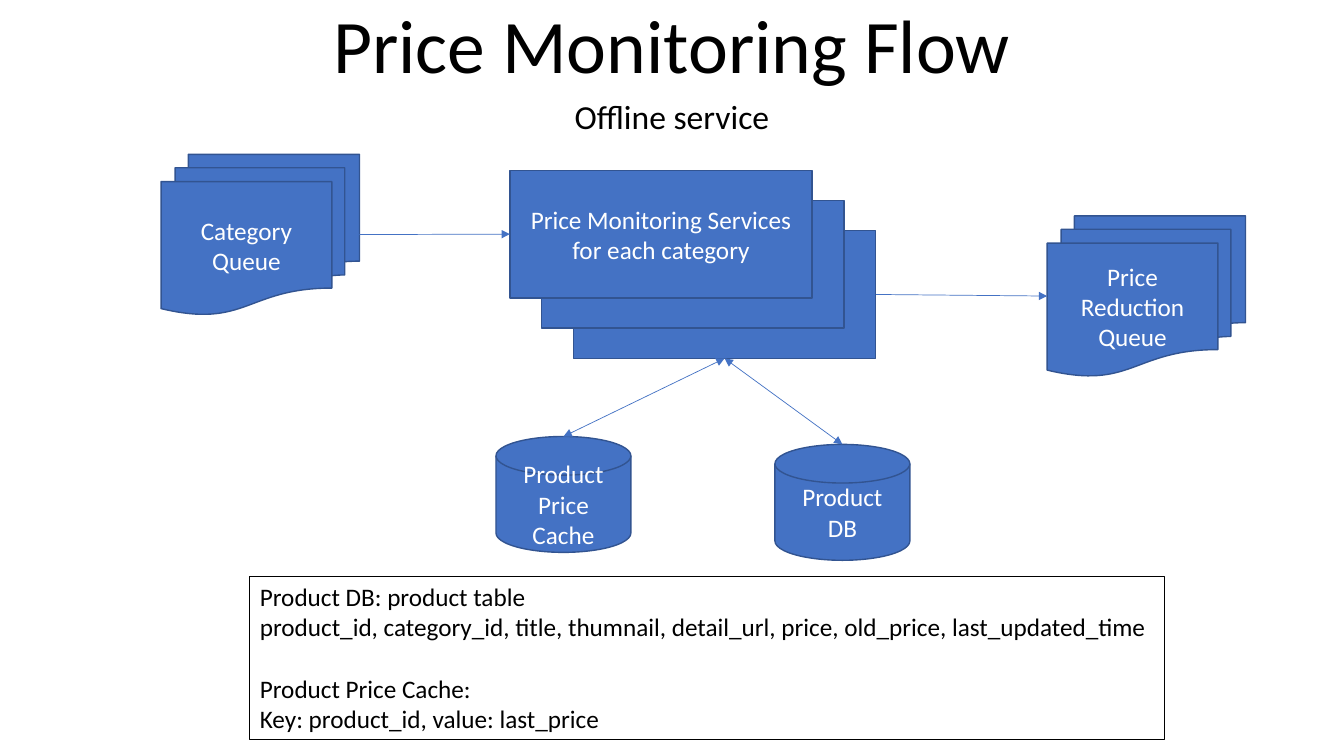
from lxml import etree
from pptx import Presentation
from pptx.dml.color import RGBColor
from pptx.enum.shapes import MSO_CONNECTOR, MSO_SHAPE
from pptx.enum.text import MSO_ANCHOR, MSO_AUTO_SIZE, PP_ALIGN
from pptx.oxml.ns import qn
from pptx.util import Cm, Pt

BOX = MSO_SHAPE.RECTANGLE
QUEUE = MSO_SHAPE.FLOWCHART_MULTIDOCUMENT
STORE = MSO_SHAPE.FLOWCHART_MAGNETIC_DISK
STRAIGHT = MSO_CONNECTOR.STRAIGHT
LEFT, CENTER = PP_ALIGN.LEFT, PP_ALIGN.CENTER
TOP, MIDDLE, BOTTOM = MSO_ANCHOR.TOP, MSO_ANCHOR.MIDDLE, MSO_ANCHOR.BOTTOM
NO_FIT = MSO_AUTO_SIZE.NONE

BLUE = RGBColor(0x44, 0x72, 0xC4)
DARK_BLUE = RGBColor(0x32, 0x54, 0x91)
BLACK = RGBColor(0, 0, 0)
WHITE = RGBColor(0xFF, 0xFF, 0xFF)
FONT = "Calibri"

HEADING = "Price Monitoring Flow"
SUBHEADING = "Offline service"
SERVICE_LINES = ["Price Monitoring Services", "for each category"]
SCHEMA_GROUPS = [
    ["Product DB: product table",
     "product_id, category_id, title, thumnail, detail_url, price, old_price, last_updated_time"],
    ["Product Price Cache:", "Key: product_id, value: last_price"],
]
QUEUES = [("Category Queue", 4.06, 3.89), ("Price Reduction Queue", 26.39, 5.44)]
STORES = [("Product Price Cache", 12.5, 11.0), ("Product DB", 19.53, 11.2)]

QUEUE_SIZE = (5.0, 4.04)
STORE_SIZE = (3.4, 2.92)
SERVICE_SIZE = (7.62, 3.22)
SERVICE_FRONT = (12.85, 4.29)
SERVICE_STEP = (0.8, 0.76)
SERVICE_COUNT = 3
SCHEMA_PLACE = (6.3, 14.53, 23.06, 4.11)
GROUP_GAP = Pt(22)
SITE_LEFT, SITE_BOTTOM, SITE_RIGHT = 1, 2, 3
STORE_TOP_SITE = 1


def write(paragraph, text, size, color, align):
    """Add one formatted run to a paragraph."""
    paragraph.alignment = align
    run = paragraph.add_run()
    run.text = text
    run.font.name = FONT
    run.font.size = Pt(size)
    run.font.color.rgb = color


def fill_placeholder(placeholder, text, place, size, anchor):
    """Move a template placeholder and give it its text."""
    placeholder.left, placeholder.top, placeholder.width, placeholder.height = map(Cm, place)
    frame = placeholder.text_frame
    frame.auto_size = NO_FIT
    frame.vertical_anchor = anchor
    paragraph = frame.paragraphs[0]
    paragraph.line_spacing = 0.9
    write(paragraph, text, size, BLACK, CENTER)
    return paragraph


def add_node(slide, kind, place, lines=()):
    """Add a blue diagram shape with centred lines of text."""
    node = slide.shapes.add_shape(kind, *map(Cm, place))
    node.shadow.inherit = False
    node.fill.solid()
    node.fill.fore_color.rgb = BLUE
    node.line.color.rgb = DARK_BLUE
    node.line.width = Pt(1)
    frame = node.text_frame
    frame.vertical_anchor = MIDDLE
    for index, line in enumerate(lines):
        paragraph = frame.add_paragraph() if index else frame.paragraphs[0]
        write(paragraph, line, 18, WHITE, CENTER)
    return node


def add_arrow(slide, source, source_site, target, target_site, ends=("tailEnd",)):
    """Connect two shapes with a thin arrow."""
    arrow = slide.shapes.add_connector(STRAIGHT, 0, 0, 0, 0)
    arrow.begin_connect(source, source_site)
    arrow.end_connect(target, target_site)
    arrow.line.color.rgb = BLUE
    arrow.line.width = Pt(0.5)
    outline = arrow.line._get_or_add_ln()
    for end in ends:
        etree.SubElement(outline, qn(f"a:{end}"), type="triangle")
    etree.SubElement(arrow._element.spPr, qn("a:effectLst"))
    return arrow


def add_schema(slide):
    """Add the outlined note that lists the stored fields."""
    schema = slide.shapes.add_textbox(*map(Cm, SCHEMA_PLACE))
    schema.line.color.rgb = BLACK
    schema.line.width = Pt(0.75)
    frame = schema.text_frame
    frame.word_wrap = True
    for group_index, group in enumerate(SCHEMA_GROUPS):
        for line_index, line in enumerate(group):
            first = group_index == line_index == 0
            paragraph = frame.paragraphs[0] if first else frame.add_paragraph()
            if group_index and not line_index:
                paragraph.space_before = GROUP_GAP
            write(paragraph, line, 18, BLACK, LEFT)


def main():
    """Build the price monitoring slide."""
    deck = Presentation()
    deck.slide_width, deck.slide_height = Cm(33.87), Cm(19.05)
    slide = deck.slides.add_slide(deck.slide_layouts[0])
    fill_placeholder(slide.shapes.title, HEADING, (4.23, 0, 25.4, 2.4), 54, BOTTOM)
    subtitle = fill_placeholder(slide.placeholders[1], SUBHEADING, (0, 2.4, 33.87, 16.65), 24, TOP)
    subtitle.space_before = Pt(10)

    services = []
    for depth in reversed(range(SERVICE_COUNT)):
        corner = [start + depth * step for start, step in zip(SERVICE_FRONT, SERVICE_STEP)]
        lines = () if depth else SERVICE_LINES
        services.append(add_node(slide, BOX, (*corner, *SERVICE_SIZE), lines))
    back_service, front_service = services[0], services[-1]

    category, reduction = [add_node(slide, QUEUE, (x, y, *QUEUE_SIZE), [label])
                           for label, x, y in QUEUES]
    add_arrow(slide, category, SITE_RIGHT, front_service, SITE_LEFT)
    add_arrow(slide, back_service, SITE_RIGHT, reduction, SITE_LEFT)

    for label, x, y in STORES:
        store = add_node(slide, STORE, (x, y, *STORE_SIZE), [label])
        arrow = add_arrow(slide, back_service, SITE_BOTTOM, store, STORE_TOP_SITE,
                          ("headEnd", "tailEnd"))
        arrow.end_x = store.left + store.width // 2
        arrow.end_y = store.top

    add_schema(slide)
    deck.save("out.pptx")


if __name__ == "__main__":
    main()
